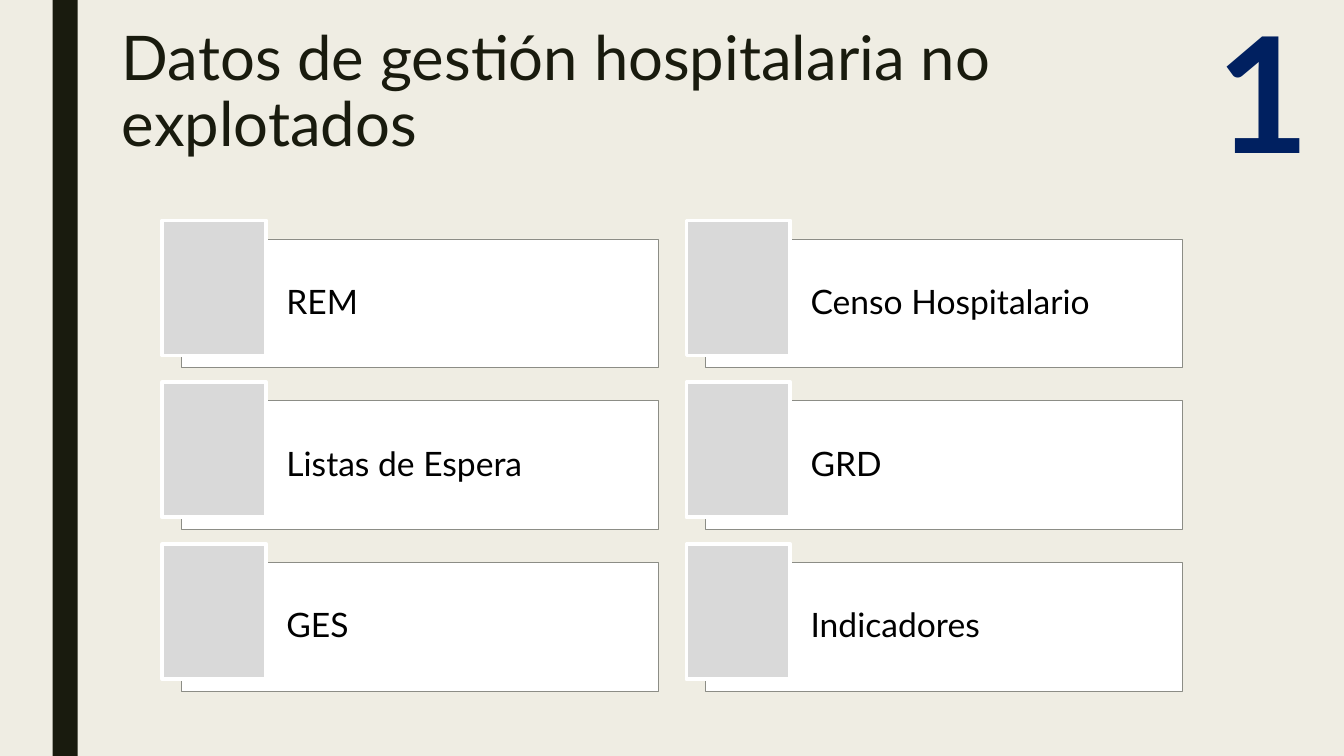
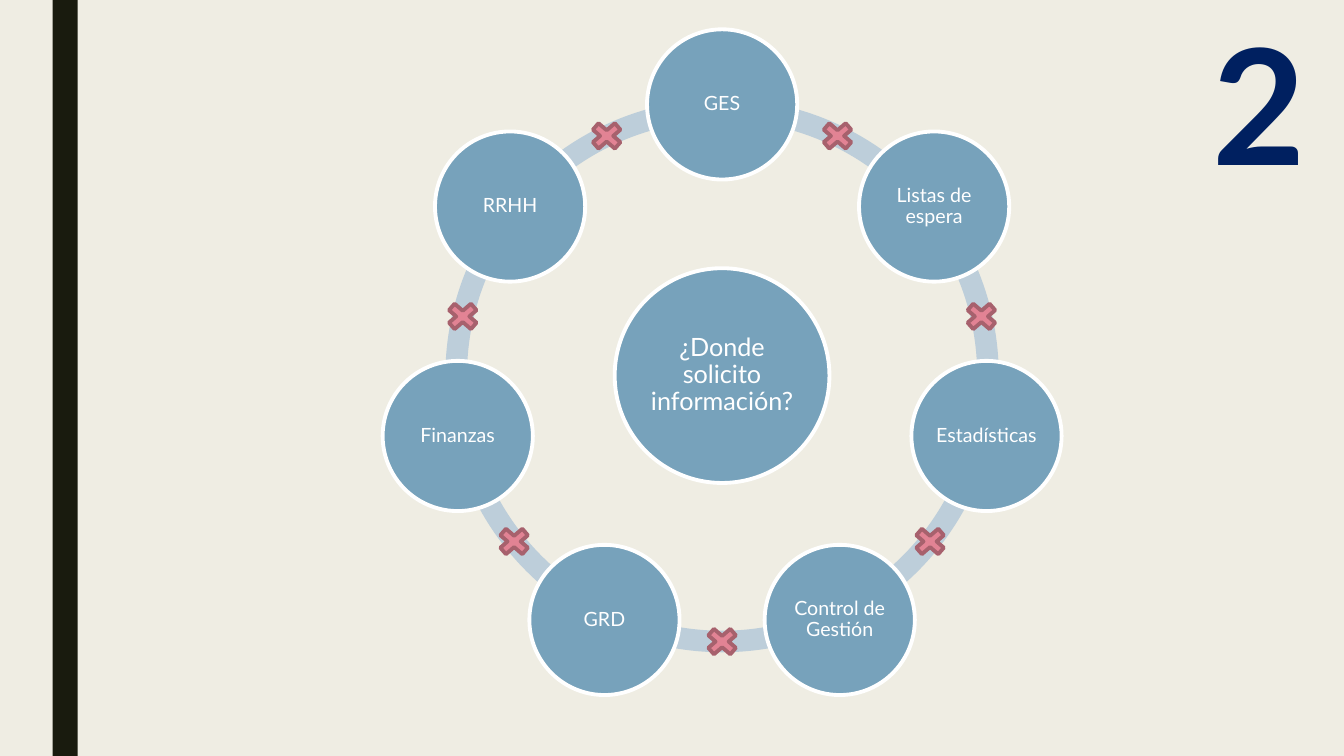
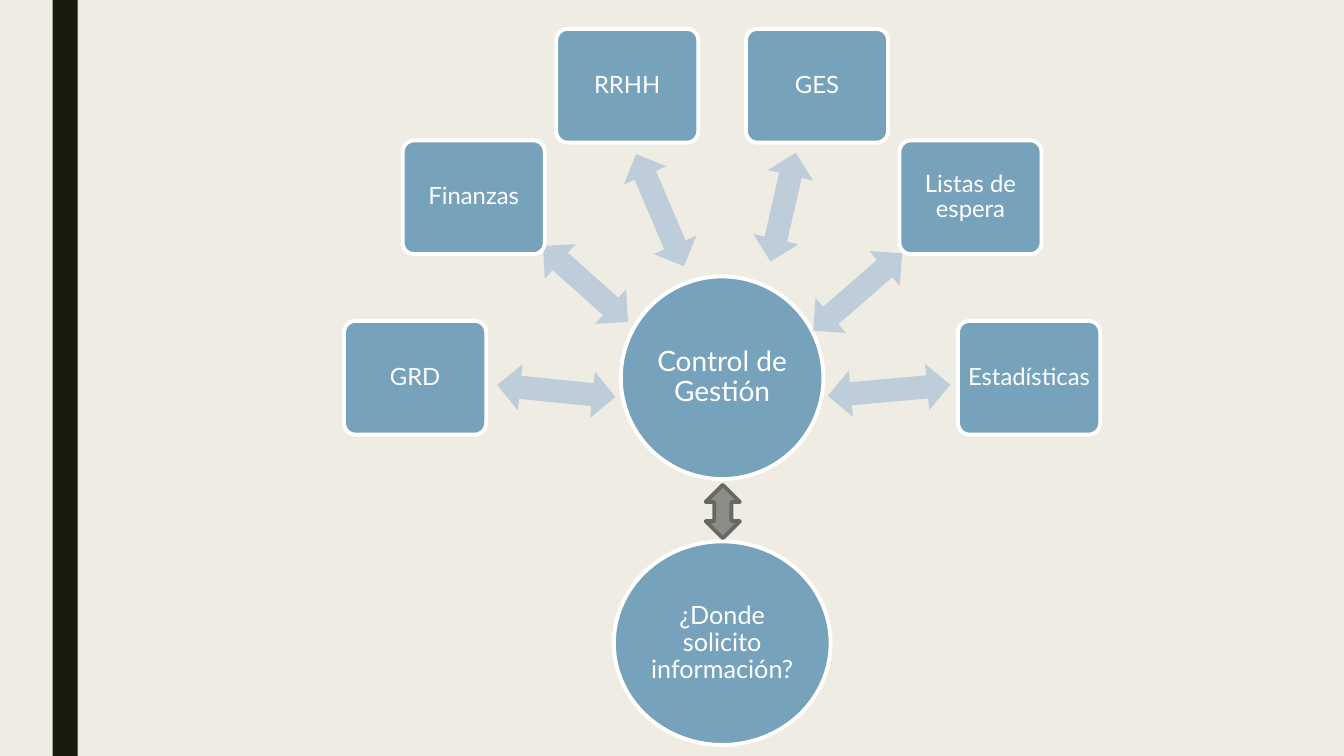
from math import cos, sin, radians
from pptx import Presentation
from pptx.dml.color import RGBColor
from pptx.enum import shapes, text
from pptx.util import Pt

HUE = {
    "paper": "EFEDE3", "ink": "191B0E", "white": "FFFFFF", "black": "000000",
    "navy": "002060", "blue": "77A2BB", "pale": "BDCEDA", "photo": "D9D9D9",
    "gray": "8C8D86", "dark": "686863", "rose": "E28394", "wine": "A7616D",
}
FONT = "Lato"
EDGE = 2.75
FORM = shapes.MSO_SHAPE
ALIGN = text.PP_ALIGN
MID = text.MSO_ANCHOR.MIDDLE
ASK = "¿Donde solicito información?"


def rgb(name):
    return RGBColor.from_string(HUE[name])


def write(shape, words, size, hue, align=ALIGN.CENTER, gap=0.9, bold=False):
    frame = shape.text_frame
    frame.word_wrap = True
    frame.text = words
    para = frame.paragraphs[0]
    para.alignment = align
    para.line_spacing = gap
    font = para.runs[0].font
    font.name, font.size, font.bold = FONT, Pt(size), bold
    font.color.rgb = rgb(hue)


def pad(shape, left, rest):
    frame = shape.text_frame
    frame.vertical_anchor = MID
    frame.margin_left = Pt(left)
    frame.margin_top = frame.margin_right = frame.margin_bottom = Pt(rest)


def draw(slide, form, x, y, w, h, fill, line=None, width=EDGE):
    shape = slide.shapes.add_shape(form, Pt(x), Pt(y), Pt(w), Pt(h))
    shape.shadow.inherit = False
    shape.fill.solid()
    shape.fill.fore_color.rgb = rgb(fill)
    if line:
        shape.line.color.rgb = rgb(line)
        shape.line.width = Pt(width)
    else:
        shape.line.fill.background()
    return shape


def center(slide, form, cx, cy, w, h, fill, line=None):
    """Draw a shape around its middle point."""
    return draw(slide, form, cx - w / 2, cy - h / 2, w, h, fill, line)


def node(slide, form, cx, cy, w, h, words, size, inset):
    """Draw a blue shape with a white edge and white words."""
    shape = center(slide, form, cx, cy, w, h, "blue", "white")
    pad(shape, inset, inset)
    write(shape, words, size, "white")
    return shape


def polar(cx, cy, r, deg):
    return cx + r * cos(radians(deg)), cy + r * sin(radians(deg))


def page(deck):
    """Add a blank slide with the dark side band."""
    slide = deck.slides.add_slide(deck.slide_layouts[6])
    draw(slide, FORM.RECTANGLE, 37.5, 0, 18, 540, "ink")
    return slide


def title(slide, words):
    box = slide.shapes.add_textbox(Pt(80), Pt(16.5), Pt(756), Pt(116.6))
    write(box, words, 44, "ink", ALIGN.LEFT, 0.89)


def number(slide, digit, y, w):
    box = slide.shapes.add_textbox(Pt(844.5), Pt(y), Pt(w), Pt(147))
    write(box, digit, 115, "navy", gap=1.0, bold=True)


def cards(slide, x, y, names):
    """Fill a grid of two columns, row by row."""
    for i, name in enumerate(names):
        row, col = divmod(i, 2)
        left, top = x + col * 374.4, y + row * 115.6
        card = draw(slide, FORM.RECTANGLE, left + 13.6, top + 13.2,
                    340.6, 92, "white", "gray", 0.5)
        pad(card, 75, 12)
        write(card, name, 24, "black", ALIGN.LEFT)
        draw(slide, FORM.RECTANGLE, left, top, 74.2, 96.5, "photo", "white")


def ring(slide, cx, cy, hub, names):
    """Place the names clockwise from the top, with broken links between."""
    step = 360 / len(names)
    angles = [i * step - 90 for i in range(len(names))]
    for deg in angles:
        arc = center(slide, FORM.BLOCK_ARC, cx, cy, 395.3, 395.3, "pale")
        # Angles count in 60000ths of a degree, adjustments in 100000ths
        arc.adjustments[0] = deg % 360 * 0.6
        arc.adjustments[1] = (deg + step) % 360 * 0.6
        arc.adjustments[2] = 0.039
    node(slide, FORM.OVAL, cx, cy, 153.4, 153.4, hub, 18, 2.2)
    for deg, name in zip(angles, names):
        node(slide, FORM.OVAL, *polar(cx, cy, 193.7, deg), 107.3, 107.3,
             name, 14, 1.4)
    for deg in angles:
        center(slide, FORM.MATH_MULTIPLY, *polar(cx, cy, 190, deg + step / 2),
               30.2, 26, "rose", "wine")


def fan(slide, cx, cy, hub, spokes):
    """Spread boxes over the hub; a spoke is name, arrow dx, dy, length, turn."""
    node(slide, FORM.OVAL, cx, cy, 144.7, 144.7, hub, 20, 0.9)
    for i, (name, dx, dy, size, turn) in enumerate(spokes):
        arrow = center(slide, FORM.UP_DOWN_ARROW, cx + dx, cy + dy,
                       33.1, size, "pale")
        arrow.rotation = turn
        box = node(slide, FORM.ROUNDED_RECTANGLE,
                   *polar(cx, cy, 219.3, 180 + 36 * i), 101.5, 81.2,
                   name, 17, 2.6)
        box.adjustments[0] = 0.1


def query(slide, cx, y, words):
    """Hang the question under the hub by a double arrow."""
    node(slide, FORM.OVAL, cx, y + 113, 154.8, 145.4, words, 18, 2.2)
    center(slide, FORM.UP_DOWN_ARROW, cx + 0.4, y + 19, 24.5, 38.2,
           "gray", "dark")


def main():
    deck = Presentation()
    deck.slide_width, deck.slide_height = Pt(960), Pt(540)
    back = deck.slide_master.background.fill
    back.solid()
    back.fore_color.rgb = rgb("paper")

    data = page(deck)
    title(data, "Datos de gestión hospitalaria no explotados")
    cards(data, 116, 157.5, ["REM", "Censo Hospitalario", "Listas de Espera",
                             "GRD", "GES", "Indicadores"])
    number(data, "1", -8.6, 116)

    links = page(deck)
    ring(links, 515.8, 268.3, ASK,
         ["GES", "Listas de espera", "Estadísticas", "Control de Gestión",
          "GRD", "Finanzas", "RRHH"])
    number(links, "2", 0, 110)

    flow = page(deck)
    fan(flow, 515.8, 269.8, "Control de Gestión", [
        ("GRD", -118.4, 9.5, 85, 275.8),
        ("Finanzas", -97.6, -67, 81.4, 311.8),
        ("RRHH", -44.3, -119.7, 87.1, 336.9),
        ("GES", 43.6, -121.8, 79.9, 12.9),
        ("Listas de espera", 96.8, -61.2, 84.2, 48.9),
        ("Estadísticas", 119.2, 9, 87.8, 84.9),
    ])
    query(flow, 515.9, 346.4, ASK)

    deck.save("out.pptx")


if __name__ == "__main__":
    main()
